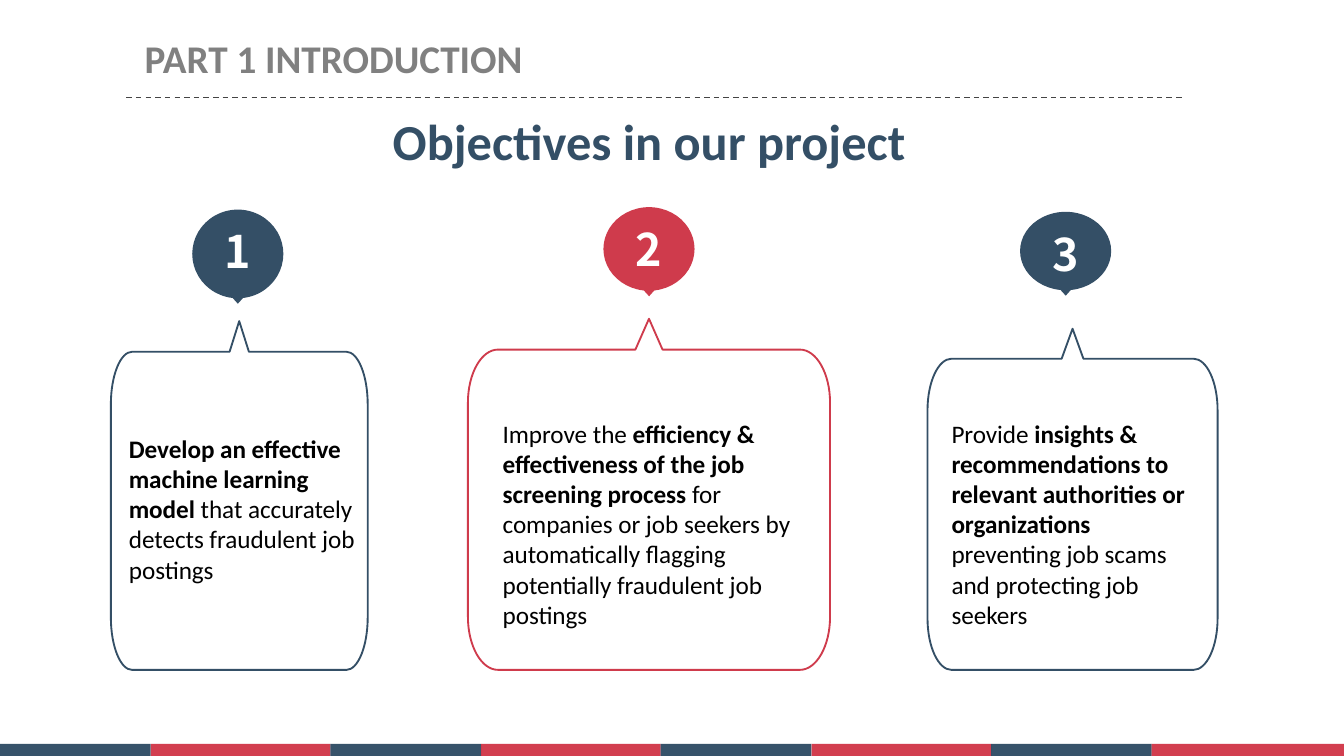
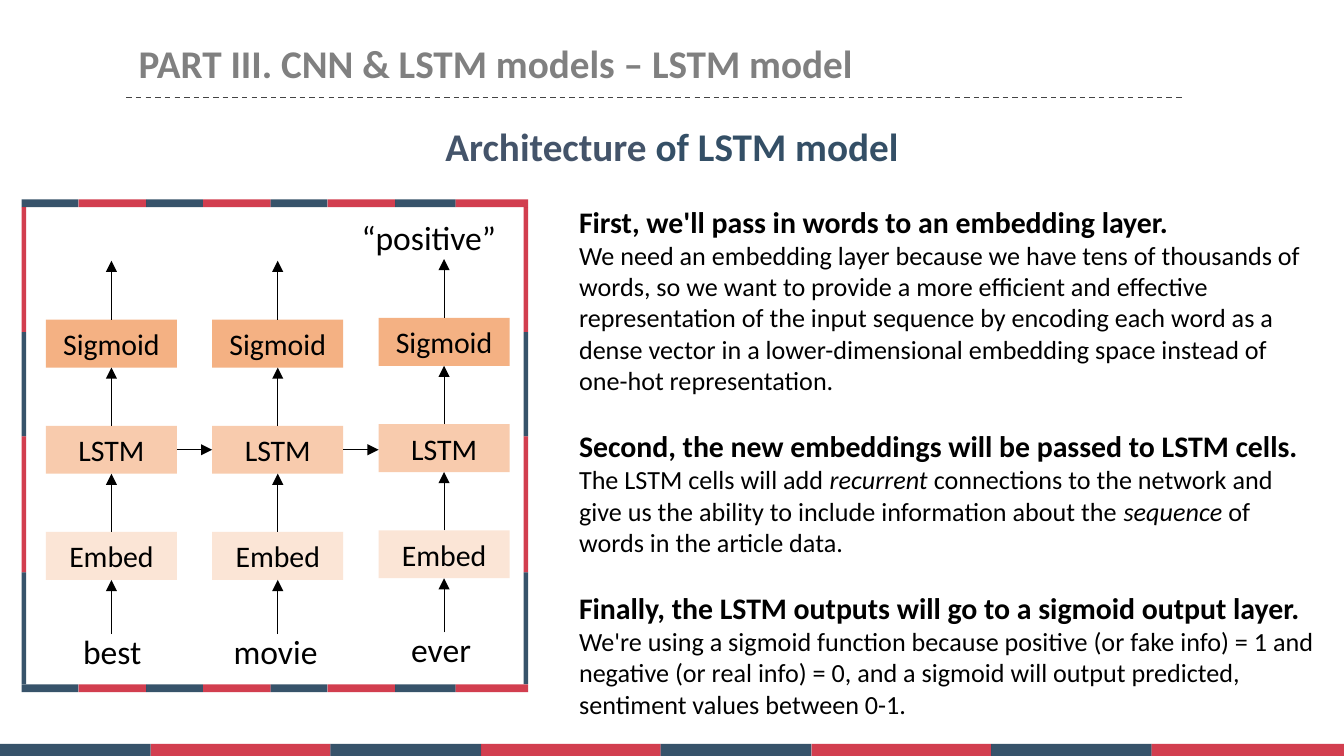
from itertools import cycle

from lxml import etree
from pptx import Presentation
from pptx.dml.color import RGBColor
from pptx.enum import dml, shapes, text
from pptx.oxml import ns
from pptx.util import Pt

NAVY = RGBColor(0x34, 0x4F, 0x66)
RED = RGBColor(0xCF, 0x3B, 0x4C)
SLATE = RGBColor(0x44, 0x54, 0x6A)
GREY = RGBColor(0x80, 0x80, 0x80)
RULE_GREY = RGBColor(0x44, 0x44, 0x44)
BLACK = RGBColor(0, 0, 0)
WHITE = RGBColor(0xFF, 0xFF, 0xFF)
STRIPE_NAVY = RGBColor(0x06, 0x28, 0x45)
STRIPE_RED = RGBColor(0xC7, 0x0E, 0x23)
EMBED_FILL = RGBColor(0xFB, 0xE5, 0xD6)
LSTM_FILL = RGBColor(0xF8, 0xCB, 0xAD)
SIGMOID_FILL = RGBColor(0xF4, 0xB1, 0x83)

FONT = "Calibri"
NUMBER_FONT = "Noto Sans CJK SC"
WIDTH, HEIGHT = 720, 405
BAND_SHARES = (80.8, 96.2) * 3 + (86, 103)
SIDE_SHARES = (67, 56, 73, 60)

# badge box, callout box, text box, colour, runs as (text, bold)
OBJECTIVES = [
    ((103, 112.3, 48.8, 47.5), (59.4, 172, 137.6, 186.9), (62, 228.5, 135.5, 105), NAVY,
     [("Develop an effective machine learning model ", True),
      ("that accurately detects fraudulent job postings", False)]),
    ((323.3, 111, 48.8, 44.8), (250.7, 170.8, 194, 188.1), (262.2, 220.4, 174.5, 122), RED,
     [("Improve the ", False),
      ("efficiency & effectiveness of the job screening process ", True),
      ("for companies or job seekers by automatically flagging "
       "potentially fraudulent job postings", False)]),
    ((546.5, 113.5, 48.8, 42), (496.9, 176.1, 155.4, 182.8), (502.7, 220.4, 150, 122), NAVY,
     [("Provide ", False),
      ("insights & recommendations to relevant authorities or organizations ", True),
      ("preventing job scams and protecting job seekers", False)]),
]

# heading, then the explanation as (text, italic)
STEPS = [
    ("First, we'll pass in words to an embedding layer.",
     [("We need an embedding layer because we have tens of thousands of words, so we want "
       "to provide a more efficient and effective representation of the input sequence by "
       "encoding each word as a dense vector in a lower-dimensional embedding space instead "
       "of one-hot representation.", False)]),
    ("Second, the new embeddings will be passed to LSTM cells.",
     [("The LSTM cells will add ", False), ("recurrent", True),
      (" connections to the network and give us the ability to include information "
       "about the ", False),
      ("sequence", True), (" of words in the article data.", False)]),
    ("Finally, the LSTM outputs will go to a sigmoid output layer.",
     [("We're using a sigmoid function because positive (or fake info) = 1 and negative "
       "(or real info) = 0, and a sigmoid will output predicted, sentiment values "
       "between 0-1.", False)]),
]

LAYERS = [("Sigmoid", SIGMOID_FILL), ("LSTM", LSTM_FILL), ("Embed", EMBED_FILL)]
# word, its indent and width, rise of its column
WORDS = [("best", 12.8, 46, 0), ("movie", 4.4, 59.8, 0), ("ever", 10.4, 46.8, 0.9)]


def points(*lengths):
    return [Pt(length) for length in lengths]


def write(paragraph, words, size, colour=BLACK, bold=False, italic=False, font=FONT):
    run = paragraph.add_run()
    run.text = words
    run.font.name = font
    run.font.size = Pt(size)
    run.font.bold = bold
    run.font.italic = italic
    run.font.color.rgb = colour


def set_frame(shape, inset=(7.2, 3.6), anchor=text.MSO_ANCHOR.TOP,
              align=text.PP_ALIGN.LEFT, wrap=True):
    """Set wrapping, insets and alignment; return the first paragraph."""
    frame = shape.text_frame
    frame.word_wrap = wrap
    frame.auto_size = text.MSO_AUTO_SIZE.NONE
    frame.vertical_anchor = anchor
    frame.margin_left = frame.margin_right = Pt(inset[0])
    frame.margin_top = frame.margin_bottom = Pt(inset[1])
    paragraph = frame.paragraphs[0]
    paragraph.alignment = align
    return paragraph


def add_text_box(slide, box, **frame_options):
    return set_frame(slide.shapes.add_textbox(*points(*box)), **frame_options)


def add_filled(slide, kind, box, colour):
    shape = slide.shapes.add_shape(kind, *points(*box))
    shape.shadow.inherit = False
    shape.fill.solid()
    shape.fill.fore_color.rgb = colour
    shape.line.fill.background()
    return shape


def add_line(slide, start, end, colour=BLACK, width=0.5, arrow=True):
    line = slide.shapes.add_connector(shapes.MSO_CONNECTOR.STRAIGHT, *points(*start, *end))
    line.line.color.rgb = colour
    line.line.width = Pt(width)
    properties = line._element.spPr
    if arrow:
        etree.SubElement(properties.find(ns.qn("a:ln")), ns.qn("a:tailEnd"), type="triangle")
    etree.SubElement(properties, ns.qn("a:effectLst"))
    return line


def add_stripes(slide, box, shares, colours, vertical=False):
    """Fill the box with alternating translucent stripes sized by their shares."""
    left, top, width, height = box
    scale = (height if vertical else width) / sum(shares)
    for share, colour in zip(shares, cycle(colours)):
        length = share * scale
        part = (left, top, width, length) if vertical else (left, top, length, height)
        stripe = add_filled(slide, shapes.MSO_SHAPE.RECTANGLE, part, colour)
        fill = stripe._element.spPr.find(ns.qn("a:solidFill"))
        etree.SubElement(fill[0], ns.qn("a:alpha"), val="80000")
        if vertical:
            top += length
        else:
            left += length


def decorate_master(presentation, slide):
    """Draw the footer band and dashed rule on the slide, then move them to the master."""
    present = len(slide.shapes)
    add_stripes(slide, (0, 398.6, WIDTH, 6.4), BAND_SHARES, (STRIPE_NAVY, STRIPE_RED))
    rule = add_line(slide, (67.7, 52.1), (633, 52.1), RULE_GREY, 0.75, arrow=False)
    rule.line.dash_style = dml.MSO_LINE.DASH
    master_tree = presentation.slide_master.element.cSld.spTree
    for number, shape in enumerate(list(slide.shapes)[present:], 101):
        shape.element.xpath(".//p:cNvPr")[0].set("id", str(number))
        master_tree.append(shape.element)


def add_titled_slide(presentation, layout, title, title_box):
    slide = presentation.slides.add_slide(presentation.slide_layouts[layout])
    place(slide.shapes.title, title_box)
    write(set_frame(slide.shapes.title, inset=(0, 0)), title, 21, GREY, bold=True)
    return slide


def place(shape, box):
    shape.left, shape.top, shape.width, shape.height = points(*box)


def add_heading(slide, box, size, runs):
    paragraph = add_text_box(slide, box, inset=(0, 0), anchor=text.MSO_ANCHOR.MIDDLE,
                             align=text.PP_ALIGN.CENTER)
    for words, colour in runs:
        write(paragraph, words, size, colour, bold=True)


def add_badge(slide, box, number, colour):
    left, top, width, height = box
    add_filled(slide, shapes.MSO_SHAPE.OVAL, box, colour)
    paragraph = add_text_box(slide, (left + 5.6, top + 7.7, width - 11.2, 28.8),
                             inset=(0, 0), align=text.PP_ALIGN.CENTER)
    write(paragraph, str(number), 24, WHITE, bold=True, font=NUMBER_FONT)
    pointer_box = (left + width / 2 - 3.25, top + height - 0.7, 6.5, 3.6)
    pointer = add_filled(slide, shapes.MSO_SHAPE.ISOSCELES_TRIANGLE, pointer_box, colour)
    pointer.rotation = 180


def add_callout(slide, box, colour):
    """Outline a rounded box with a pointer in the middle of its top side."""
    left, top, width, height = box
    middle, right, bottom = left + width / 2, left + width, top + height
    body_top = top + 0.088 * height
    notch, radius_x, radius_y = 0.0375 * width, 0.083 * width, 0.151 * height
    corners = [(right, body_top), (right, bottom), (left, bottom), (left, body_top)]
    outline = [(middle + notch, body_top)]
    for index, (x, y) in enumerate(corners):
        inner_x = x - radius_x if x == right else x + radius_x
        inner_y = y - radius_y if y == bottom else y + radius_y
        ends = [(inner_x, y), (x, inner_y)]
        outline += ends if index % 2 == 0 else reversed(ends)
    outline.append((middle - notch, body_top))
    builder = slide.shapes.build_freeform(*points(middle, top))
    builder.add_line_segments([points(*vertex) for vertex in outline], close=True)
    callout = builder.convert_to_shape()
    callout.shadow.inherit = False
    callout.fill.background()
    callout.line.color.rgb = colour
    callout.line.width = Pt(1)
    lines = callout._element.findall(".//" + ns.qn("a:lnTo"))
    for index, (x, y) in enumerate(corners):
        round_corner(lines[2 * index + 1][0], lines[2 * index + 2],
                     (Pt(x) - Pt(left), Pt(y) - Pt(top)))


def round_corner(start, line, corner):
    """Turn the line that cuts a corner into a curve."""
    end = line[0]
    curve = etree.Element(ns.qn("a:cubicBezTo"))
    for point in (start, end):
        x, y = (round(int(point.get(axis)) * 0.45 + value * 0.55)
                for axis, value in zip("xy", corner))
        etree.SubElement(curve, ns.qn("a:pt"), x=str(x), y=str(y))
    curve.append(end)
    line.getparent().replace(line, curve)


def add_frame(slide, box):
    left, top, width, height = box
    thick, thin = 4.2, 2.5
    for y in (top, top + height - thick):
        add_stripes(slide, (left, y, width, thick), BAND_SHARES, (STRIPE_NAVY, STRIPE_RED))
    for x in (left, left + width - thin):
        add_stripes(slide, (x, top + thick, thin, height - 2 * thick), SIDE_SHARES,
                    (STRIPE_RED, STRIPE_NAVY), vertical=True)


def add_network(slide, box):
    """Draw one column of layers per word and join the LSTM cells."""
    left, top, width, height = box
    cell_width, cell_height = 70.2, 25.7
    column_gap = (width - cell_width) / (len(WORDS) - 1)
    row_gap = (height - cell_height) / (len(LAYERS) - 1)
    lstm_cells = []
    for column, (word, indent, word_width, rise) in enumerate(WORDS):
        x, y = left + column * column_gap, top - rise
        centre, bottom = x + cell_width / 2, y + height
        cells = []
        for row, (name, colour) in enumerate(LAYERS):
            cell = add_filled(slide, shapes.MSO_SHAPE.RECTANGLE,
                              (x, y + row * row_gap, cell_width, cell_height), colour)
            write(set_frame(cell, anchor=text.MSO_ANCHOR.MIDDLE,
                            align=text.PP_ALIGN.CENTER), name, 16)
            cells.append(cell)
        sigmoid, lstm, embed = cells
        add_line(slide, (centre, y), (centre, y - 31.5)).begin_connect(sigmoid, 0)
        for upper, lower in ((sigmoid, lstm), (lstm, embed)):
            arrow = add_line(slide, (0, 0), (0, 0))
            arrow.begin_connect(lower, 0)
            arrow.end_connect(upper, 2)
        add_line(slide, (centre, bottom + 29), (centre, bottom)).end_connect(embed, 2)
        lstm_cells.append(lstm)
        write(add_text_box(slide, (x + indent, bottom + 23.5, word_width, 29), wrap=False),
              word, 18)
    level = top + row_gap + cell_height / 2
    for column, (source, target) in enumerate(zip(lstm_cells, lstm_cells[1:])):
        end = left + (column + 1) * column_gap
        arrow = add_line(slide, (end - column_gap + cell_width, level), (end, level))
        arrow.begin_connect(source, 3)
        if source.top == target.top:
            arrow.end_connect(target, 1)
    write(add_text_box(slide, (left + 162, top - 58.4, 108.5, 29)), "“positive”", 18)


def fill_steps(body, box):
    place(body, box)
    paragraph = set_frame(body)
    for number, (heading, explanation) in enumerate(STEPS):
        if number:
            paragraph = body.text_frame.add_paragraph()
        format_plain(paragraph, space_before=17 if number else 0)
        write(paragraph, heading, 16, bold=True)
        paragraph = body.text_frame.add_paragraph()
        format_plain(paragraph)
        for words, italic in explanation:
            write(paragraph, words, 14, italic=italic)


def format_plain(paragraph, space_before=0):
    """Drop the bullet and indent that the placeholder gives."""
    paragraph.alignment = text.PP_ALIGN.LEFT
    paragraph.space_before = Pt(space_before)
    properties = paragraph._p.get_or_add_pPr()
    properties.set("marL", "0")
    properties.set("indent", "0")
    etree.SubElement(properties, ns.qn("a:buNone"))


def add_objectives_slide(presentation):
    slide = add_titled_slide(presentation, 5, "PART 1 INTRODUCTION", (77.5, 18.4, 215, 25))
    decorate_master(presentation, slide)
    add_heading(slide, (205.7, 58.9, 284, 32.4), 27, [("Objectives in our project", NAVY)])
    for number, (badge, callout, text_box, colour, runs) in enumerate(OBJECTIVES, 1):
        add_callout(slide, callout, colour)
        add_badge(slide, badge, number, colour)
        paragraph = add_text_box(slide, text_box)
        for words, bold in runs:
            write(paragraph, words, 13.5, bold=bold)


def add_architecture_slide(presentation):
    slide = add_titled_slide(presentation, 1, "PART III. CNN & LSTM models – LSTM model",
                             (74.3, 21.2, 384, 25))
    add_heading(slide, (200, 65.8, 320, 25), 21,
                [("Architecture ", SLATE), ("of LSTM model", NAVY)])
    fill_steps(slide.placeholders[1], (303, 105.3, 409, 286))
    add_frame(slide, (11.6, 106.8, 271.4, 264))
    add_network(slide, (24.6, 171.2, 248.4, 139.5))


def main():
    presentation = Presentation()
    presentation.slide_width, presentation.slide_height = points(WIDTH, HEIGHT)
    add_objectives_slide(presentation)
    add_architecture_slide(presentation)
    presentation.save("out.pptx")


if __name__ == "__main__":
    main()
